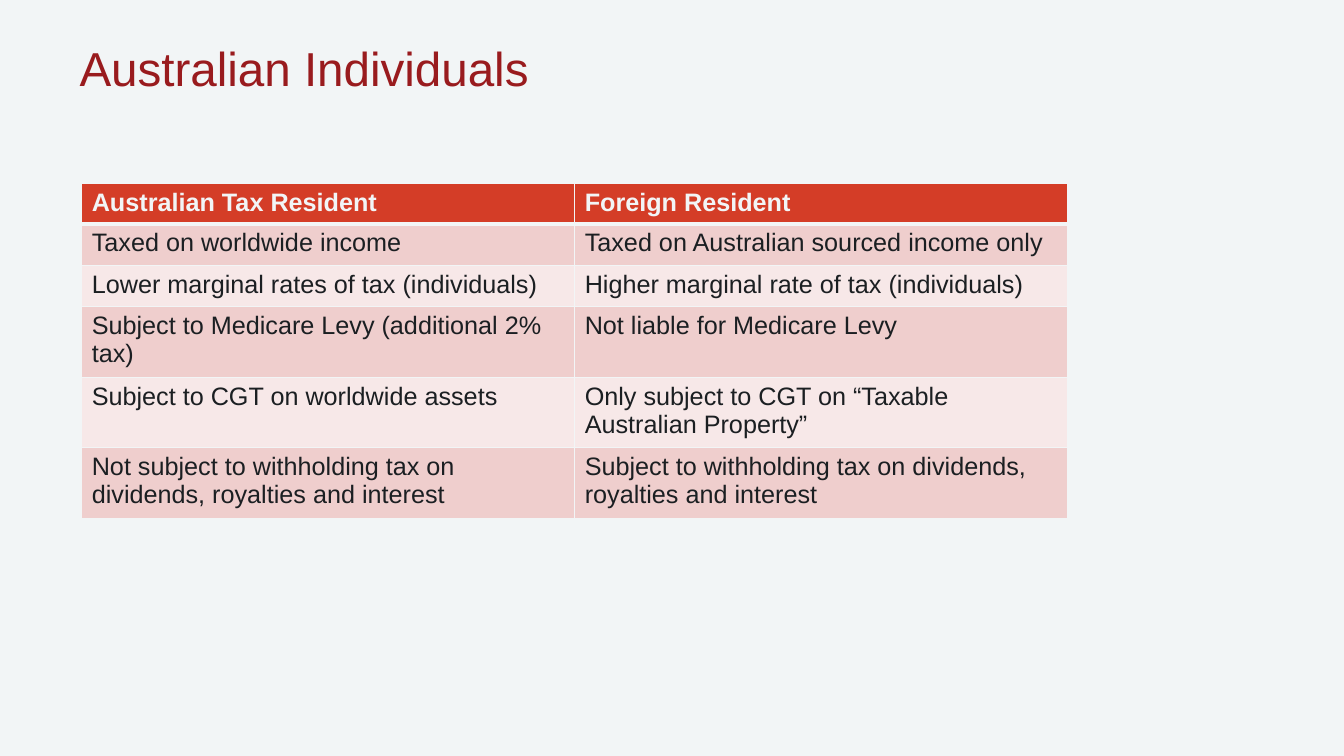
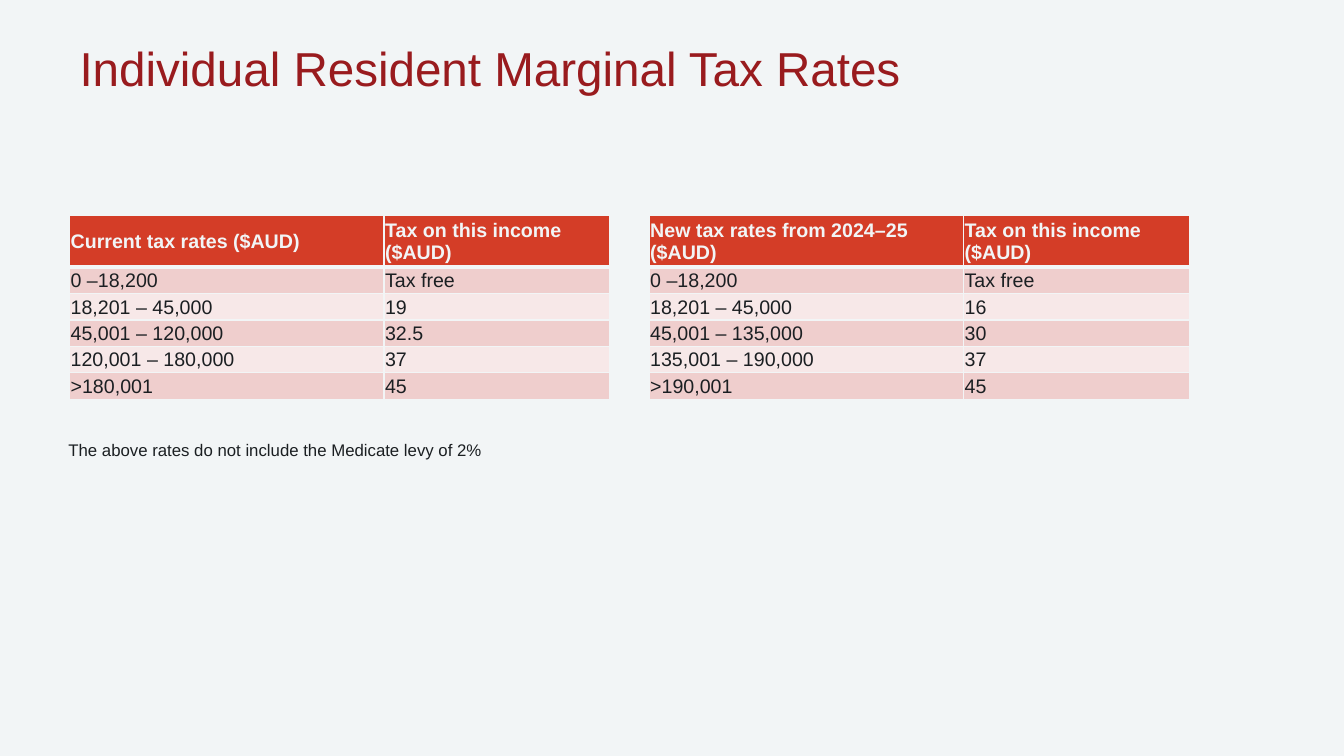
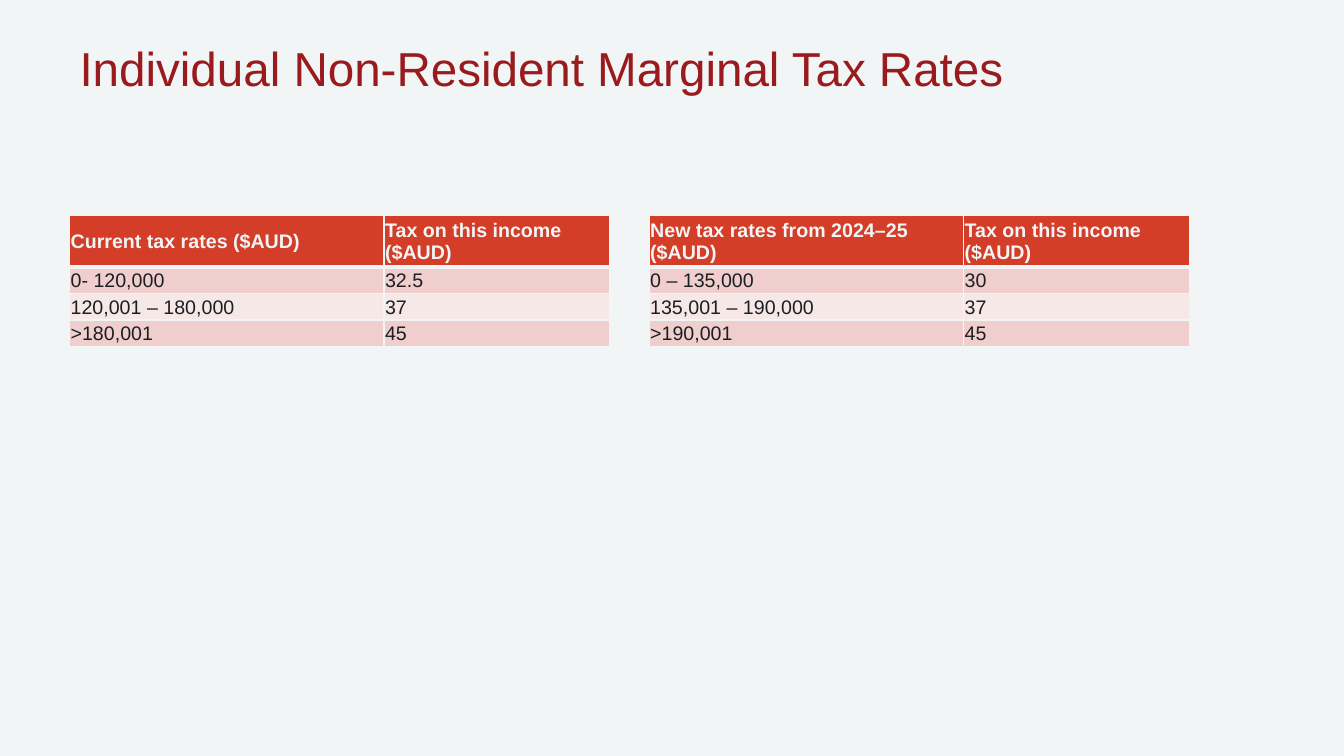
from dataclasses import dataclass

import pptx
import pptx.dml.color
import pptx.enum.text
import pptx.oxml.ns
import pptx.util
from lxml import etree

RGBColor = pptx.dml.color.RGBColor
Anchor = pptx.enum.text.MSO_ANCHOR

PAPER = RGBColor(0xF2, 0xF5, 0xF6)
INK = RGBColor(0x1B, 0x1F, 0x22)
TITLE_RED = RGBColor(0x99, 0x1B, 0x1E)
HEADER_RED = RGBColor(0xD4, 0x3D, 0x27)
BANDS = (RGBColor(0xEF, 0xCE, 0xCD), RGBColor(0xF7, 0xE8, 0xE8))
FONT = "Arial"

WIDTH = pptx.util.Inches(13.33)
HEIGHT = pptx.util.Inches(7.5)

# Positions below are in percent of the slide's width (x) and height (y).
LEFT = 5.18
RATES_TOP = 28.53
RATES_GAP = 2.92


@dataclass(frozen=True)
class TableStyle:
    cols: tuple[float, ...]
    header_height: float
    row_height: float
    size: int
    anchor: Anchor
    insets: tuple[float, float, float, float]  # left, top, right, bottom in inches


@dataclass(frozen=True)
class RatePeriod:
    heading: str
    rates: tuple[tuple[str, str], ...]


COMPARISON = TableStyle((36.68, 36.68), 4.8, 5.47, 18, Anchor.TOP, (0.1, 0.05, 0.1, 0.05))
RATES = TableStyle((23.4, 16.8), 6.8, 3.5, 14, Anchor.MIDDLE, (0.01, 0.01, 0.01, 0))

RESIDENCY_ROWS = (
    ("Australian Tax Resident", "Foreign Resident"),
    ("Taxed on worldwide income", "Taxed on Australian sourced income only"),
    ("Lower marginal rates of tax (individuals)", "Higher marginal rate of tax (individuals)"),
    ("Subject to Medicare Levy (additional 2% tax)", "Not liable for Medicare Levy"),
    ("Subject to CGT on worldwide assets", "Only subject to CGT on “Taxable Australian Property”"),
    ("Not subject to withholding tax on dividends, royalties and interest",
     "Subject to withholding tax on dividends, royalties and interest"),
)
CURRENT = "Current tax rates ($AUD)"
NEW = "New tax rates from 2024–25 ($AUD)"
RATE_HEADING = "Tax on this income ($AUD)"

RESIDENT_PERIODS = (
    RatePeriod(CURRENT, (("0 –18,200", "Tax free"), ("18,201 – 45,000", "19"),
                         ("45,001 – 120,000", "32.5"), ("120,001 – 180,000", "37"),
                         (">180,001", "45"))),
    RatePeriod(NEW, (("0 –18,200", "Tax free"), ("18,201 – 45,000", "16"),
                     ("45,001 – 135,000", "30"), ("135,001 – 190,000", "37"),
                     (">190,001", "45"))),
)
NON_RESIDENT_PERIODS = (
    RatePeriod(CURRENT, (("0- 120,000", "32.5"), ("120,001 – 180,000", "37"), (">180,001", "45"))),
    RatePeriod(NEW, (("0 – 135,000", "30"), ("135,001 – 190,000", "37"), (">190,001", "45"))),
)


def across(percent: float) -> int:
    return round(WIDTH * percent / 100)


def down(percent: float) -> int:
    return round(HEIGHT * percent / 100)


def format_text(tf, size: int, color: RGBColor, bold: bool = False) -> None:
    for p in tf.paragraphs:
        for r in p.runs:
            r.font.name = FONT
            r.font.size = pptx.util.Pt(size)
            r.font.color.rgb = color
            r.font.bold = bold


def add_text(s, text: str, x: float, y: float, w: float, h: float, size: int, color: RGBColor):
    tf = s.shapes.add_textbox(across(x), down(y), across(w), down(h)).text_frame
    tf.word_wrap = True
    tf.text = text
    format_text(tf, size, color)
    return tf


def add_slide(prs, title: str):
    """Add a slide with the shared background and title."""
    s = prs.slides.add_slide(prs.slide_layouts[6])
    s.background.fill.solid()
    s.background.fill.fore_color.rgb = PAPER
    tf = add_text(s, title, LEFT, 5.33, 89.7, 12.93, 34, TITLE_RED)
    tf.paragraphs[0].line_spacing = 0.9
    return s


def set_borders(cell, top: int, bottom: int) -> None:
    """Draw all four cell borders; top and bottom widths are in points."""
    tcPr = cell._tc.get_or_add_tcPr()
    sides = (("L", 1), ("R", 1), ("T", top), ("B", bottom))
    for i, (side, width) in enumerate(sides):
        ln = etree.Element(pptx.oxml.ns.qn(f"a:ln{side}"), w=str(pptx.util.Pt(width)))
        fill = etree.SubElement(ln, pptx.oxml.ns.qn("a:solidFill"))
        etree.SubElement(fill, pptx.oxml.ns.qn("a:srgbClr"), val=str(PAPER))
        tcPr.insert(i, ln)


def add_banded_table(s, rows, style: TableStyle, x: float, y: float) -> None:
    heights = [style.header_height] + [style.row_height] * (len(rows) - 1)
    table = s.shapes.add_table(len(rows), len(style.cols), across(x), down(y),
                               across(sum(style.cols)), down(sum(heights))).table
    table.horz_banding = False
    for column, width in zip(table.columns, style.cols):
        column.width = across(width)
    for i, (texts, height) in enumerate(zip(rows, heights)):
        table.rows[i].height = down(height)
        header = i == 0
        for cell, text in zip(table.rows[i].cells, texts):
            cell.text_frame.text = text
            format_text(cell.text_frame, style.size, PAPER if header else INK, header)
            cell.vertical_anchor = style.anchor
            (cell.margin_left, cell.margin_top,
             cell.margin_right, cell.margin_bottom) = map(pptx.util.Inches, style.insets)
            cell.fill.solid()
            cell.fill.fore_color.rgb = HEADER_RED if header else BANDS[(i - 1) % 2]
            set_borders(cell, top=3 if i == 1 else 1, bottom=3 if header else 1)


def add_rate_tables(s, periods: tuple[RatePeriod, ...]) -> None:
    step = sum(RATES.cols) + RATES_GAP
    for i, period in enumerate(periods):
        rows = ((period.heading, RATE_HEADING), *period.rates)
        add_banded_table(s, rows, RATES, LEFT + i * step, RATES_TOP)


def main() -> None:
    prs = pptx.Presentation()
    prs.slide_width, prs.slide_height = WIDTH, HEIGHT

    s = add_slide(prs, "Australian Individuals")
    add_banded_table(s, RESIDENCY_ROWS, COMPARISON, 6.08, 24.27)

    s = add_slide(prs, "Individual Resident Marginal Tax Rates")
    add_rate_tables(s, RESIDENT_PERIODS)
    add_text(s, "The above rates do not include the Medicate levy of 2%",
             4.35, 57.47, 71.5, 4, 12, INK)

    s = add_slide(prs, "Individual Non-Resident Marginal Tax Rates")
    add_rate_tables(s, NON_RESIDENT_PERIODS)

    prs.save("out.pptx")


if __name__ == "__main__":
    main()
